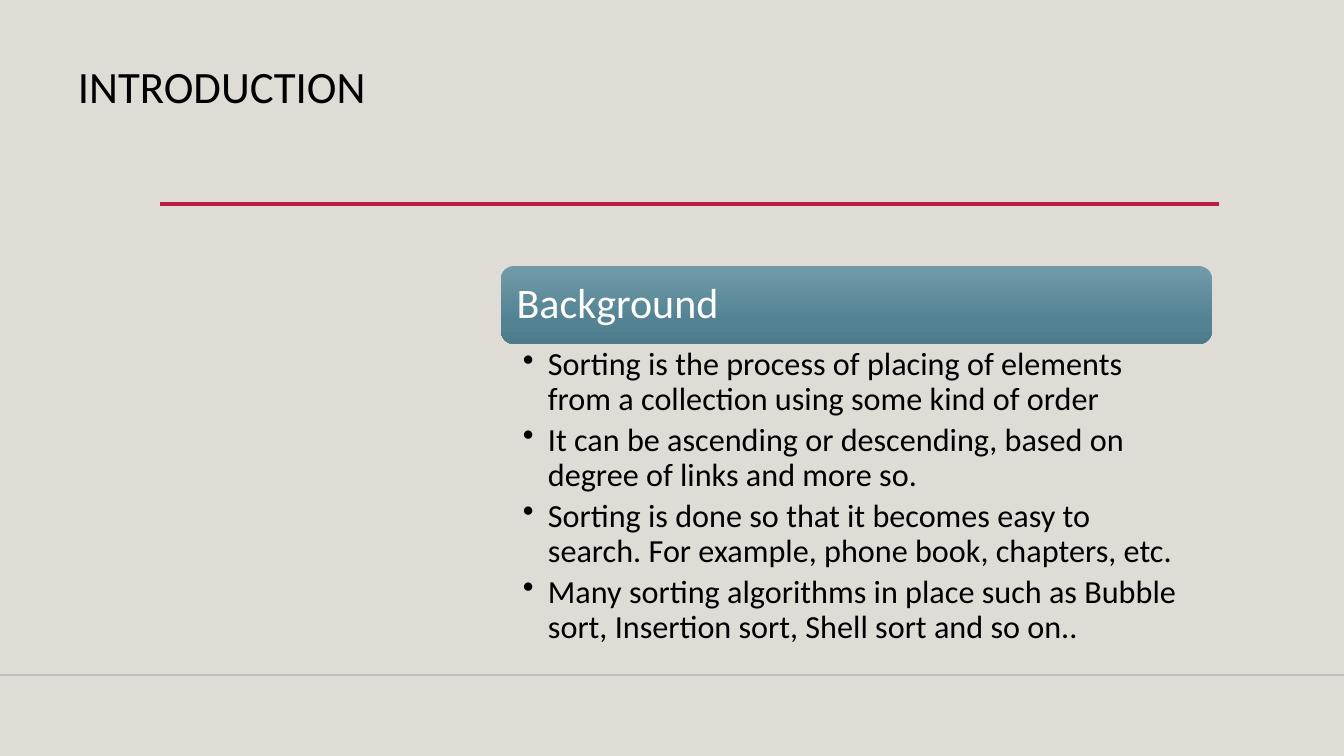
import lxml.etree
import pptx
import pptx.dml.color
import pptx.enum.shapes
import pptx.enum.text
import pptx.oxml.ns
import pptx.util

EMU_PER_PX = 914400 / 100.8
WIDTH, HEIGHT = 1344, 756
FONT = "Calibri"
BLACK = "000000"
BULLETS = [
    "Sorting is the process of placing of elements from a collection using some kind of order",
    "It can be ascending or descending, based on degree of links and more so.",
    "Sorting is done so that it becomes easy to search. For example, phone book, chapters, etc.",
    "Many sorting algorithms in place such as Bubble sort, Insertion sort, Shell sort and so on..",
]
HEADER_STOPS = [(0, "729BA9"), (69, "538393"), (100, "4F7C8B")]


def px(length):
    return pptx.util.Emu(round(length * EMU_PER_PX))


def color(value):
    return pptx.dml.color.RGBColor.from_string(value)


def add_child(parent, tag, **attributes):
    child = lxml.etree.SubElement(parent, pptx.oxml.ns.qn(tag))
    for name, value in attributes.items():
        child.set(name, str(value))
    return child


def add_rule(slide, left, right, y, value, width, opacity=100):
    rule = slide.shapes.add_connector(
        pptx.enum.shapes.MSO_CONNECTOR.STRAIGHT, px(left), px(y), px(right), px(y))
    rule.line.color.rgb = color(value)
    rule.line.width = pptx.util.Pt(width)
    if opacity < 100:
        shade = rule._element.spPr.find(".//" + pptx.oxml.ns.qn("a:srgbClr"))
        add_child(shade, "a:alpha", val=opacity * 1000)
    add_child(rule._element.spPr, "a:effectLst")


def add_text_box(slide, box):
    return slide.shapes.add_textbox(*map(px, box))


def set_frame(shape, insets, anchor):
    frame = shape.text_frame
    frame.word_wrap = True
    frame.vertical_anchor = anchor
    frame.margin_left, frame.margin_top, frame.margin_right, frame.margin_bottom = map(px, insets)
    return frame


def write(paragraph, text, size, value):
    paragraph.alignment = pptx.enum.text.PP_ALIGN.LEFT
    paragraph.line_spacing = 0.9
    run = paragraph.add_run()
    run.text = text
    run.font.name = FONT
    run.font.size = pptx.util.Pt(size)
    run.font.color.rgb = color(value)


def add_title(slide, box):
    frame = set_frame(add_text_box(slide, box), (10, 5, 10, 5), pptx.enum.text.MSO_ANCHOR.TOP)
    write(frame.paragraphs[0], "INTRODUCTION", 32, BLACK)


def fill_gradient(shape, stops):
    shape.fill.gradient()
    shape.fill.gradient_angle = 270
    stop_list = shape._element.spPr.find(".//" + pptx.oxml.ns.qn("a:gsLst"))
    for stop in list(stop_list):
        stop_list.remove(stop)
    for position, value in stops:
        stop = add_child(stop_list, "a:gs", pos=position * 1000)
        add_child(stop, "a:srgbClr", val=value)


def add_header(slide, box):
    header = slide.shapes.add_shape(
        pptx.enum.shapes.MSO_SHAPE.ROUNDED_RECTANGLE, *map(px, box))
    header.shadow.inherit = False
    header.line.fill.background()
    fill_gradient(header, HEADER_STOPS)
    frame = set_frame(header, (12, 12, 12, 12), pptx.enum.text.MSO_ANCHOR.MIDDLE)
    write(frame.paragraphs[0], "Background", 30, "FFFFFF")


def add_bullets(slide, box):
    frame = set_frame(add_text_box(slide, box), (22, 4, 23, 4), pptx.enum.text.MSO_ANCHOR.TOP)
    for index, text in enumerate(BULLETS):
        paragraph = frame.add_paragraph() if index else frame.paragraphs[0]
        write(paragraph, text, 23, BLACK)
        paragraph.space_after = pptx.util.Pt(4.5)
        properties = paragraph._p.get_or_add_pPr()
        properties.set("marL", str(px(25)))
        properties.set("indent", str(px(-25)))
        add_child(properties, "a:buChar", char="•")


def add_background_section(slide, box):
    left, top, width, height = box
    header_height = 78
    add_header(slide, (left, top, width, header_height))
    add_bullets(slide, (left, top + header_height, width, height - header_height))


def add_introduction_slide(presentation):
    slide = presentation.slides.add_slide(presentation.slide_layouts[6])
    slide.background.fill.solid()
    slide.background.fill.fore_color.rgb = color("DFDBD5")
    add_rule(slide, 0, WIDTH, 675, "000001", 1, opacity=20)
    add_rule(slide, 160, 1219, 204, "B71E42", 2.5)
    add_title(slide, (68, 60, 1145, 179))
    add_background_section(slide, (501, 266, 711, 379))


def main():
    presentation = pptx.Presentation()
    presentation.slide_width = px(WIDTH)
    presentation.slide_height = px(HEIGHT)
    add_introduction_slide(presentation)
    presentation.save("out.pptx")


if __name__ == "__main__":
    main()
